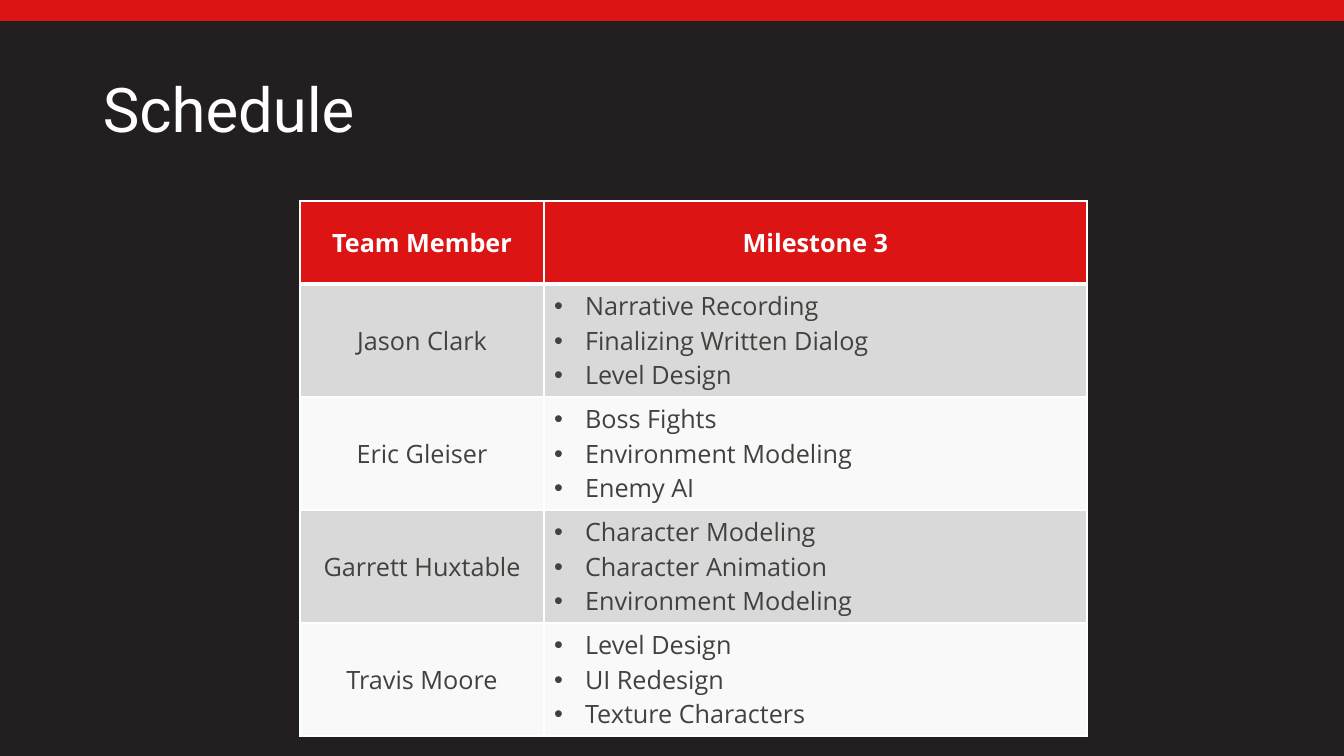
from lxml import etree
from pptx import Presentation
from pptx import util as u
from pptx.dml.color import RGBColor
from pptx.enum import shapes, text
from pptx.oxml import ns

PAGE = (1344, 756)
SCALE = 12192000 / PAGE[0]
RED, WHITE, DARK, BACKDROP = "DC1414", "FFFFFF", "42413E", "231F20"
BANDS = ("D9D9D9", "F9F9F9")
HEADINGS = ("Team Member", "Milestone 3")
TASKS = {
    "Jason Clark": ("Narrative Recording", "Finalizing Written Dialog", "Level Design"),
    "Eric Gleiser": ("Boss Fights", "Environment Modeling", "Enemy AI"),
    "Garrett Huxtable": ("Character Modeling", "Character Animation", "Environment Modeling"),
    "Travis Moore": ("Level Design", "UI Redesign", "Texture Characters"),
}


def px(length):
    """Turn a length in px into EMU."""
    return u.Emu(round(length * SCALE))


def paint(fill, color):
    """Give a fill one solid colour."""
    fill.solid()
    fill.fore_color.rgb = RGBColor.from_string(color)


def write(frame, lines, size=18, font="Open Sans", color=DARK, bold=False,
          align=text.PP_ALIGN.LEFT, spacing=None, bullets=False):
    """Write each line as a paragraph in a text frame."""
    for index, line in enumerate(lines):
        para = frame.add_paragraph() if index else frame.paragraphs[0]
        para.alignment = align
        para.line_spacing = spacing
        span = para.add_run()
        span.text = line
        span.font.size = u.Pt(size)
        span.font.name = font
        span.font.bold = bold
        paint(span.font.fill, color)
        if bullets:
            add_bullet(para, px(31))


def add_bullet(para, indent):
    """Hang a round bullet in front of a paragraph."""
    props = para._p.get_or_add_pPr()
    props.set("marL", str(indent))
    props.set("indent", str(-indent))
    etree.SubElement(props, ns.qn("a:buFont"), typeface="Arial")
    etree.SubElement(props, ns.qn("a:buChar"), char="•")


def add_borders(cell, top=1, bottom=1):
    """Rule the four sides of a cell in white, with widths in points."""
    props = cell._tc.get_or_add_tcPr()
    widths = {"lnL": 1, "lnR": 1, "lnT": top, "lnB": bottom}
    for index, (side, width) in enumerate(widths.items()):
        line = etree.Element(ns.qn(f"a:{side}"), w=str(u.Pt(width)))
        fill = etree.SubElement(line, ns.qn("a:solidFill"))
        etree.SubElement(fill, ns.qn("a:srgbClr"), val=WHITE)
        props.insert(index, line)


def add_band(page, box):
    """Draw the red band across the top."""
    band = page.shapes.add_shape(shapes.MSO_SHAPE.RECTANGLE, *map(px, box))
    band.shadow.inherit = False
    band.line.fill.background()
    paint(band.fill, RED)


def add_title(page, box):
    """Place the slide title."""
    frame = page.shapes.add_textbox(*map(px, box)).text_frame
    frame.word_wrap = True
    frame.vertical_anchor = text.MSO_ANCHOR.MIDDLE
    write(frame, ["Schedule"], size=44, font="Roboto", color=WHITE, spacing=0.9)


def fill_cell(cell, lines, fill, top=1, bottom=1, **style):
    """Fill, rule and write one table cell."""
    cell.vertical_anchor = text.MSO_ANCHOR.MIDDLE
    paint(cell.fill, fill)
    add_borders(cell, top, bottom)
    write(cell.text_frame, lines, **style)


def add_schedule(page, box, header_height=83, member_width=244):
    """Build the table of team members and their tasks."""
    left, top, width, height = box
    table = page.shapes.add_table(len(TASKS) + 1, 2, *map(px, box)).table
    table.columns[0].width = px(member_width)
    table.columns[1].width = px(width - member_width)
    table.rows[0].height = px(header_height)
    center = text.PP_ALIGN.CENTER
    for column, heading in enumerate(HEADINGS):
        fill_cell(table.cell(0, column), [heading], RED, bottom=3,
                  color=WHITE, bold=True, align=center)
    for row, (member, tasks) in enumerate(TASKS.items(), 1):
        table.rows[row].height = px((height - header_height) / len(TASKS))
        fill = BANDS[(row - 1) % 2]
        rule = 3 if row == 1 else 1
        fill_cell(table.cell(row, 0), [member], fill, top=rule, align=center)
        fill_cell(table.cell(row, 1), tasks, fill, top=rule, bullets=True)


def main():
    """Build the schedule slide and save the deck."""
    deck = Presentation()
    deck.slide_width, deck.slide_height = map(px, PAGE)
    page = deck.slides.add_slide(deck.slide_layouts[6])
    paint(page.background.fill, BACKDROP)
    add_title(page, (93, 40, 1159, 146))
    add_schedule(page, (300, 201, 787, 535))
    add_band(page, (0, 0, PAGE[0], 21))
    deck.save("out.pptx")


if __name__ == "__main__":
    main()
